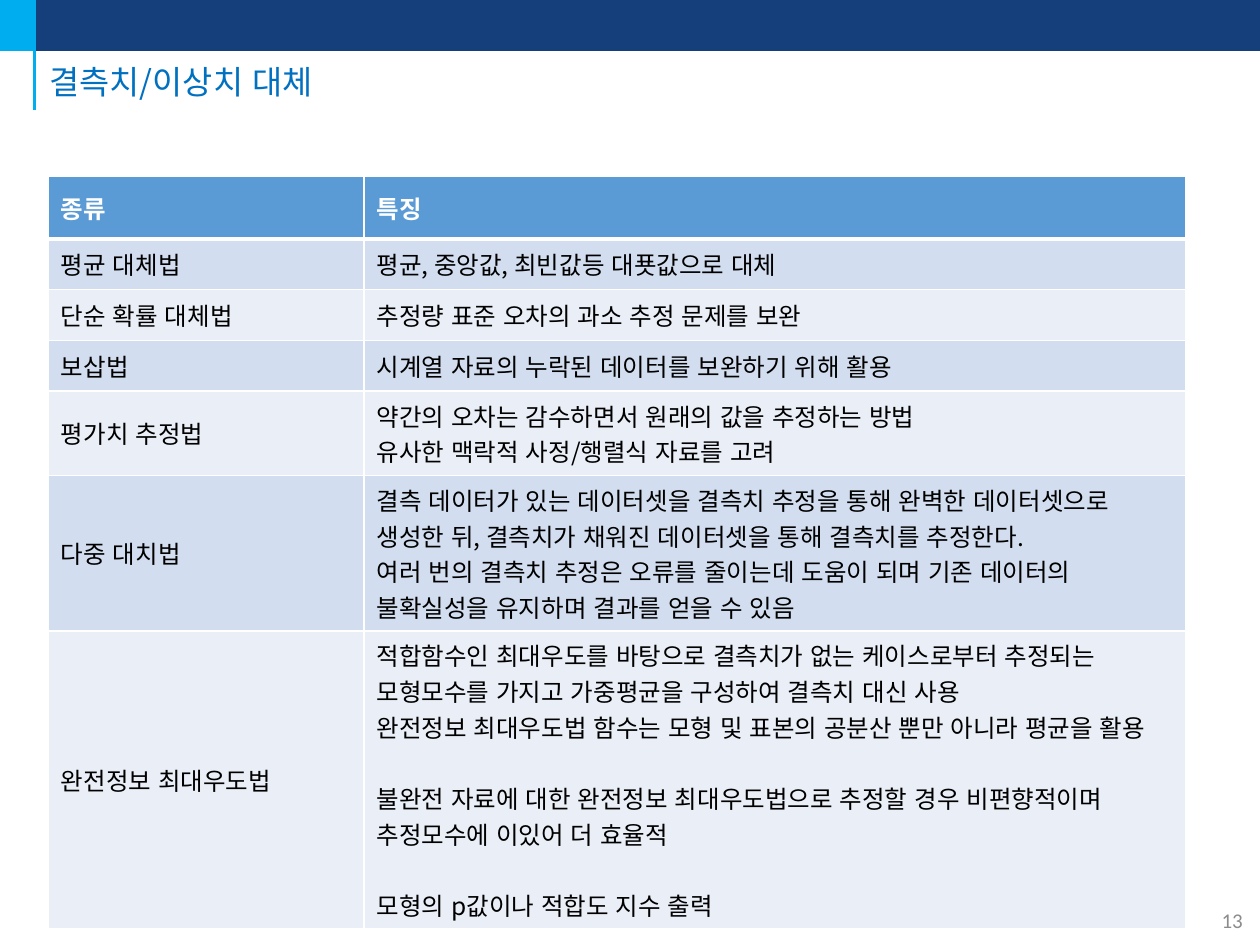
import pptx
import pptx.dml.color
import pptx.enum.lang
import pptx.enum.shapes
import pptx.enum.text
import pptx.oxml
import pptx.oxml.ns
import pptx.util

Pt = pptx.util.Pt
RGBColor = pptx.dml.color.RGBColor
ANCHOR = pptx.enum.text.MSO_ANCHOR
ALIGN = pptx.enum.text.PP_ALIGN

NAVY = RGBColor(0x14, 0x3F, 0x7B)
CYAN = RGBColor(0x00, 0xAD, 0xEF)
TITLE_BLUE = RGBColor(0x00, 0x70, 0xC0)
HEADER_BLUE = RGBColor(0x5B, 0x9B, 0xD5)
BAND_DARK = RGBColor(0xD2, 0xDE, 0xEF)
BAND_LIGHT = RGBColor(0xEA, 0xEF, 0xF7)
WHITE = RGBColor(0xFF, 0xFF, 0xFF)
BLACK = RGBColor(0x00, 0x00, 0x00)
GRAY = RGBColor(0x8C, 0x8C, 0x8C)

KOREAN = "Noto Sans CJK KR"
LATIN = "Calibri"
BLOCK_GAP = 20.4  # one line of table text
COLUMN_WIDTHS = (180.4, 469.8)
ROW_HEIGHTS = (35.5, 29, 29, 29, 48.2, 88.8, 170.3)

HEADER = ("종류", "특징")
# Each method has blocks of paragraphs; blocks are set apart by a gap.
METHODS = [
    ("평균 대체법", [["평균, 중앙값, 최빈값등 대푯값으로 대체"]]),
    ("단순 확률 대체법", [["추정량 표준 오차의 과소 추정 문제를 보완"]]),
    ("보삽법", [["시계열 자료의 누락된 데이터를 보완하기 위해 활용"]]),
    ("평가치 추정법", [[
        "약간의 오차는 감수하면서 원래의 값을 추정하는 방법",
        "유사한 맥락적 사정/행렬식 자료를 고려"]]),
    ("다중 대치법", [[
        "결측 데이터가 있는 데이터셋을 결측치 추정을 통해 완벽한 데이터셋으로 "
        "생성한 뒤, 결측치가 채워진 데이터셋을 통해 결측치를 추정한다.",
        "여러 번의 결측치 추정은 오류를 줄이는데 도움이 되며 기존 데이터의 "
        "불확실성을 유지하며 결과를 얻을 수 있음"]]),
    ("완전정보 최대우도법", [
        ["적합함수인 최대우도를 바탕으로 결측치가 없는 케이스로부터 추정되는 "
         "모형모수를 가지고 가중평균을 구성하여 결측치 대신 사용",
         "완전정보 최대우도법 함수는 모형 및 표본의 공분산 뿐만 아니라 평균을 활용"],
        ["불완전 자료에 대한 완전정보 최대우도법으로 추정할 경우 비편향적이며 "
         "추정모수에 이있어 더 효율적"],
        ["모형의 p값이나 적합도 지수 출력"]]),
]


def style_paragraph(paragraph, size, color, font_name=KOREAN, bold=False):
    font = paragraph.font
    font.size, font.bold, font.name = Pt(size), bold, font_name
    font.color.rgb = color
    east_asian = pptx.oxml.parse_xml(
        f'<a:ea {pptx.oxml.ns.nsdecls("a")} typeface="{font_name}"/>')
    paragraph._p.pPr.find(pptx.oxml.ns.qn("a:defRPr")).append(east_asian)
    for run in paragraph.runs:
        run.font.language_id = pptx.enum.lang.MSO_LANGUAGE_ID.KOREAN


def add_bar(slide, width, color):
    bar = slide.shapes.add_shape(
        pptx.enum.shapes.MSO_SHAPE.RECTANGLE, 0, 0, Pt(width), Pt(28.8))
    bar.shadow.inherit = False
    bar.fill.solid()
    bar.fill.fore_color.rgb = color
    bar.line.color.rgb = color
    bar.line.width = Pt(1)


def add_title_rule(slide):
    rule = slide.shapes.add_connector(
        pptx.enum.shapes.MSO_CONNECTOR.STRAIGHT, Pt(19.7), Pt(62.6), Pt(19.7), 0)
    rule.line.color.rgb = CYAN
    rule.line.width = Pt(1.5)
    rule._element.spPr.append(pptx.oxml.parse_xml(
        f'<a:effectLst {pptx.oxml.ns.nsdecls("a")}/>'))


def add_label(slide, text, box, size, color, font_name, align=ALIGN.LEFT):
    frame = slide.shapes.add_textbox(*map(Pt, box)).text_frame
    frame.word_wrap = True
    frame.vertical_anchor = ANCHOR.MIDDLE
    paragraph = frame.paragraphs[0]
    paragraph.text = text
    paragraph.alignment = align
    style_paragraph(paragraph, size, color, font_name)
    return paragraph


def set_borders(cell, top=1, bottom=1):
    """White cell borders, with widths in points; call before filling."""
    properties = cell._tc.get_or_add_tcPr()
    for side, width in (("L", 1), ("R", 1), ("T", top), ("B", bottom)):
        properties.append(pptx.oxml.parse_xml(
            f'<a:ln{side} {pptx.oxml.ns.nsdecls("a")} w="{Pt(width)}">'
            f'<a:solidFill><a:srgbClr val="{WHITE}"/></a:solidFill></a:ln{side}>'))


def fill_cell(cell, blocks, fill, color, bold=False):
    cell.fill.solid()
    cell.fill.fore_color.rgb = fill
    cell.vertical_anchor = ANCHOR.MIDDLE
    frame = cell.text_frame
    paragraph = None
    for block in blocks:
        for index, text in enumerate(block):
            starts_later_block = paragraph is not None and index == 0
            paragraph = frame.add_paragraph() if paragraph else frame.paragraphs[0]
            paragraph.text = text
            if starts_later_block:
                paragraph.space_before = Pt(BLOCK_GAP)
            style_paragraph(paragraph, 14, color, bold=bold)


def add_methods_table(slide):
    table = slide.shapes.add_table(
        len(ROW_HEIGHTS), len(COLUMN_WIDTHS), Pt(27.6), Pt(101),
        Pt(sum(COLUMN_WIDTHS)), Pt(sum(ROW_HEIGHTS))).table
    for column, width in zip(table.columns, COLUMN_WIDTHS):
        column.width = Pt(width)
    for row, height in zip(table.rows, ROW_HEIGHTS):
        row.height = Pt(height)

    for column, heading in enumerate(HEADER):
        cell = table.cell(0, column)
        set_borders(cell, bottom=3)
        fill_cell(cell, [[heading]], HEADER_BLUE, WHITE, bold=True)
    for row, (method, features) in enumerate(METHODS, start=1):
        band = BAND_DARK if row % 2 else BAND_LIGHT
        for column, blocks in enumerate(([[method]], features)):
            cell = table.cell(row, column)
            set_borders(cell, top=3 if row == 1 else 1)
            fill_cell(cell, blocks, band, BLACK)


def main():
    presentation = pptx.Presentation()
    presentation.slide_width, presentation.slide_height = Pt(720), Pt(540)
    slide = presentation.slides.add_slide(presentation.slide_layouts[6])
    add_bar(slide, 720, NAVY)
    add_bar(slide, 19, CYAN)
    add_title_rule(slide)
    add_label(slide, "13", (689, 511.2, 30.2, 28.8), 12, GRAY, LATIN, ALIGN.CENTER)
    title = add_label(slide, "결측치/이상치 대체", (21.2, 32, 698.4, 31.7),
                      18.7, TITLE_BLUE, KOREAN)
    title.line_spacing = 0.9
    add_methods_table(slide)
    presentation.save("out.pptx")


if __name__ == "__main__":
    main()
